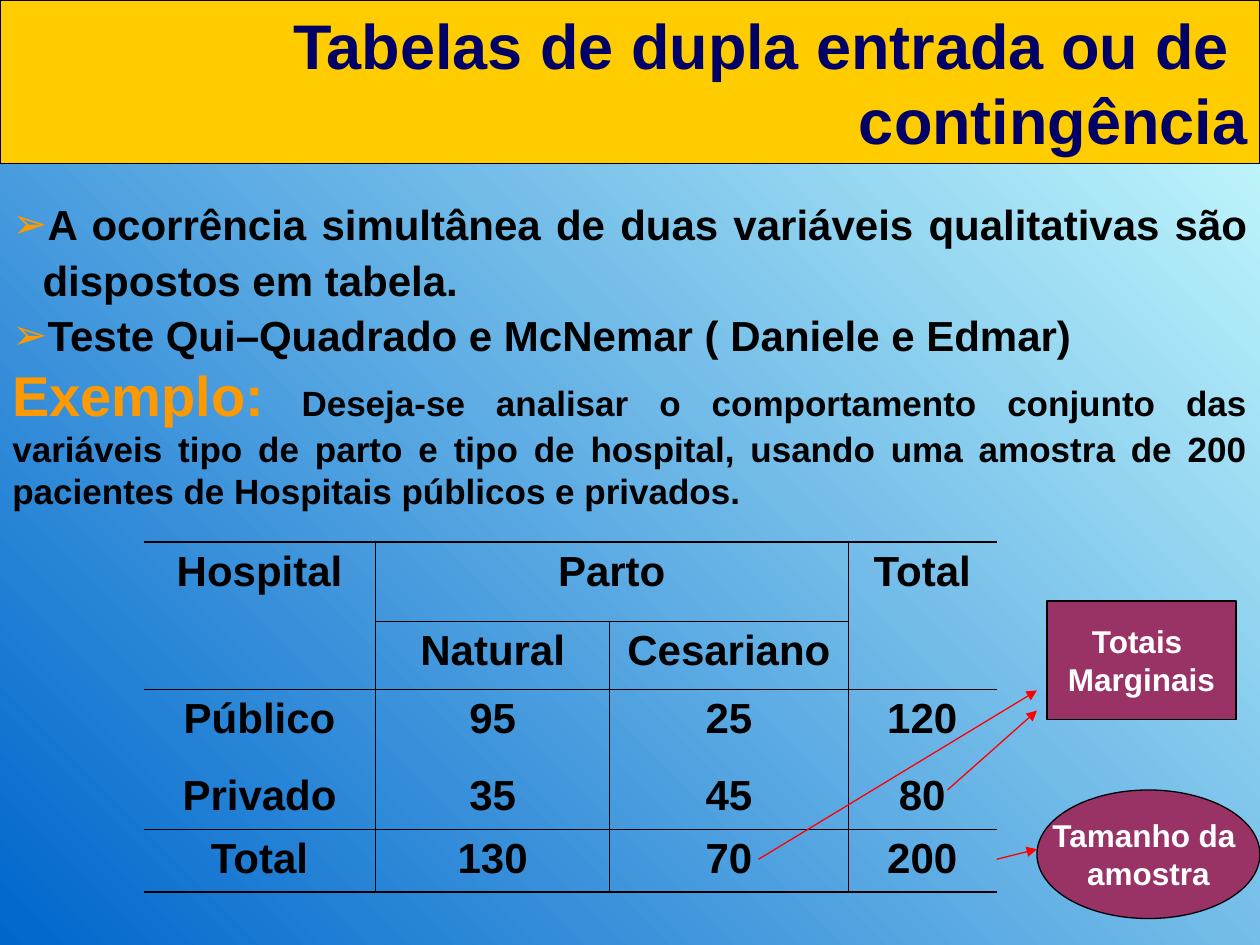
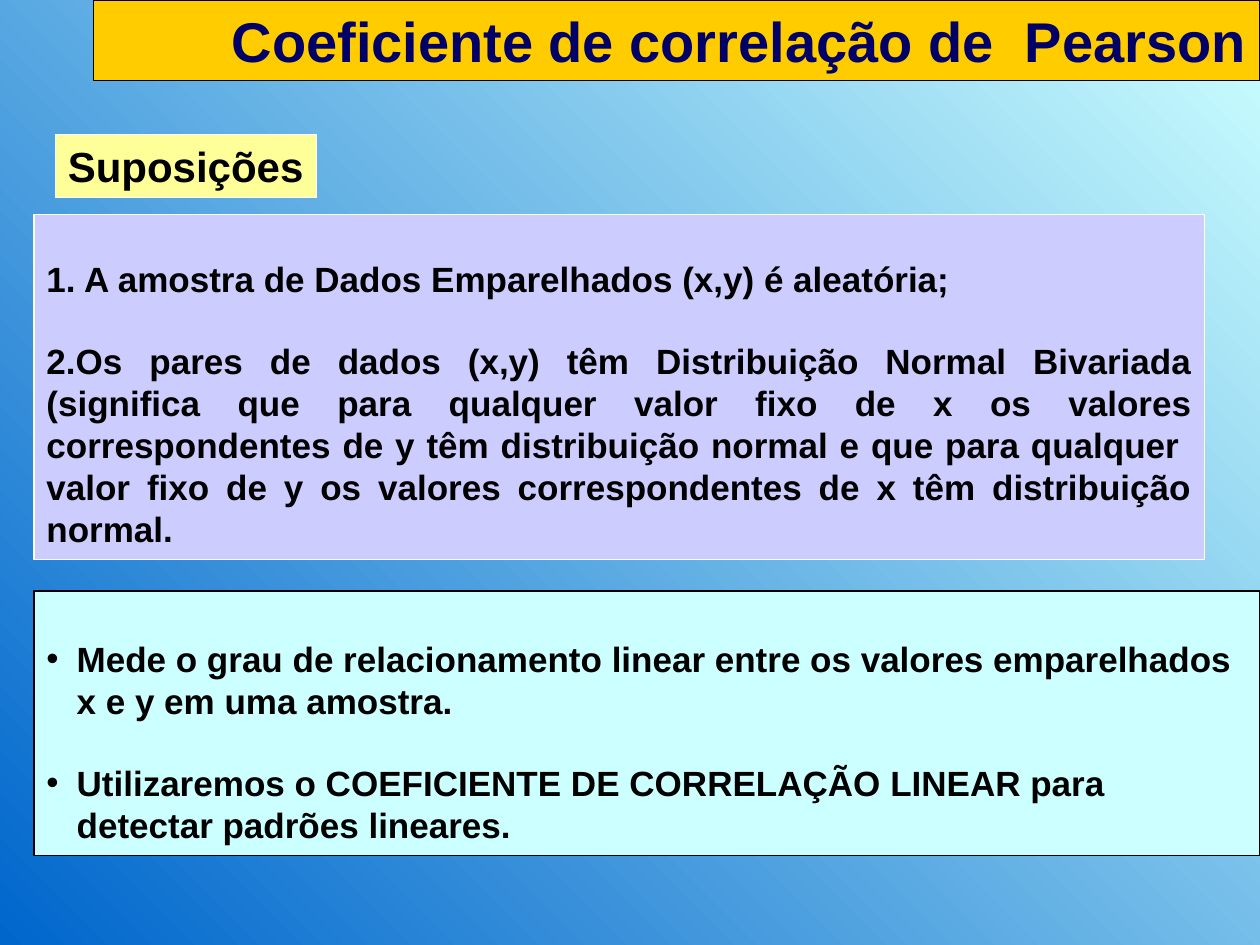
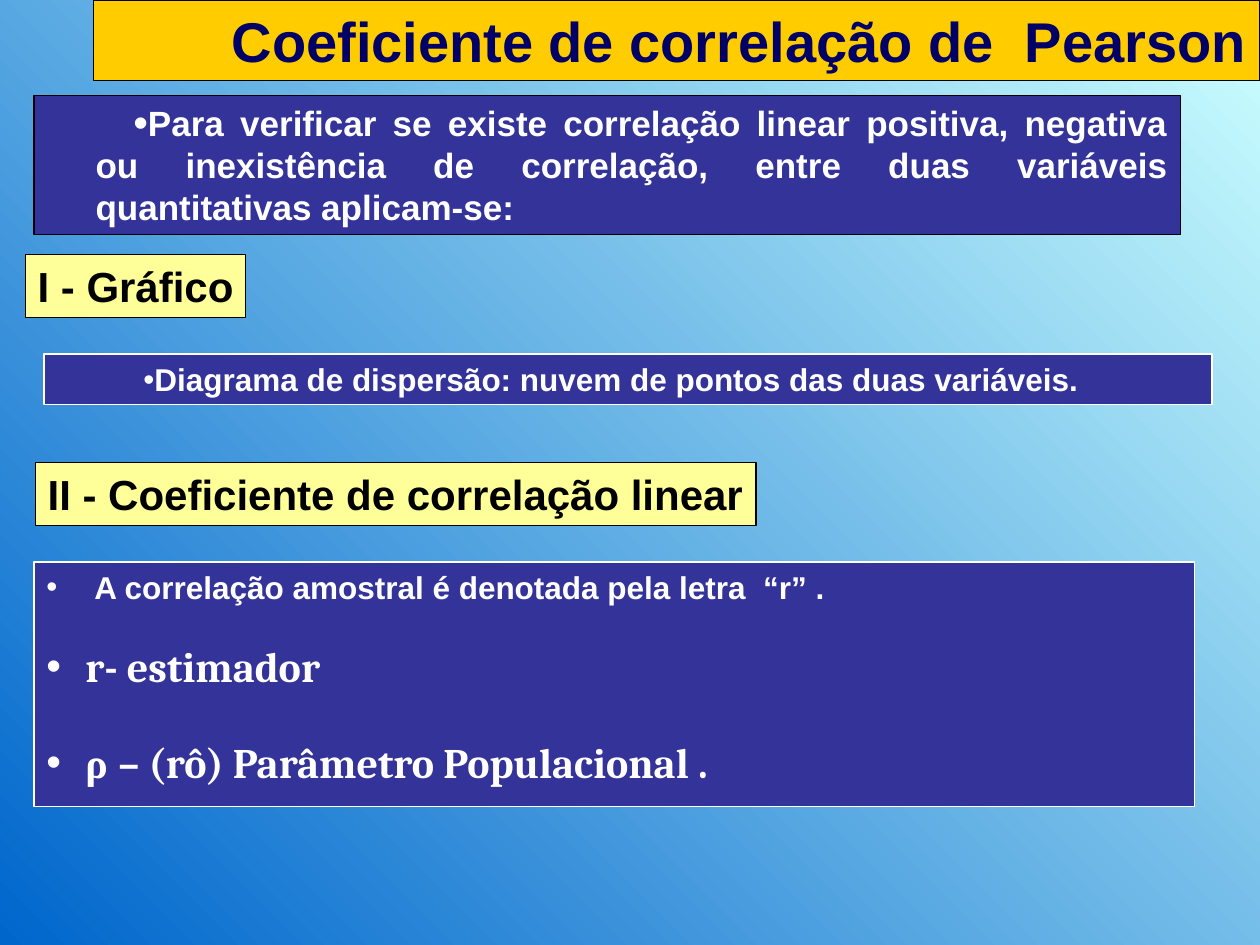
from dataclasses import dataclass

from lxml.etree import SubElement
from pptx import Presentation
from pptx.dml.color import RGBColor
from pptx.enum.shapes import MSO_CONNECTOR, MSO_SHAPE
from pptx.enum.text import MSO_ANCHOR, PP_ALIGN
from pptx.oxml.ns import qn
from pptx.util import Inches, Pt


@dataclass(frozen=True)
class Theme:
    """Colours, fonts, type sizes and line widths of the deck."""
    black: str = "000000"
    white: str = "FFFFFF"
    navy: str = "000066"
    gold: str = "FFCC00"
    orange: str = "FF9900"
    plum: str = "993366"
    red: str = "FF0000"
    indigo: str = "333399"
    lavender: str = "CCCCFF"
    cyan: str = "CCFFFF"
    yellow: str = "FFFF99"
    blue: str = "0066CC"
    sans: str = "Arial"
    serif: str = "Cambria"
    greek: str = "Times New Roman"
    banner: int = 36
    title: int = 32
    heading: int = 24
    body: int = 20
    small: int = 18
    outline: float = 0.75
    thin: float = 0.45
    thick: float = 1.08


THEME = Theme()
COLUMNS, ROWS = 100, 75
WIDTH, HEIGHT = Inches(10), Inches(7.5)


@dataclass(frozen=True)
class Box:
    """A rectangle measured in columns and rows of the slide grid."""
    left: float
    top: float
    width: float
    height: float

    def region(self, left, top, width, height):
        """Return a box placed from this box's top left corner."""
        return Box(self.left + left, self.top + top, width, height)

    def point(self, column, row):
        """Return the slide position of a point inside this box."""
        return (round(WIDTH * (self.left + column) / COLUMNS),
                round(HEIGHT * (self.top + row) / ROWS))

    def frame(self):
        """Return left, top, width and height as slide lengths."""
        return (*self.point(0, 0), round(WIDTH * self.width / COLUMNS),
                round(HEIGHT * self.height / ROWS))


@dataclass(frozen=True)
class Run:
    """A piece of bold text in one style."""
    text: str
    size: int = THEME.body
    color: str = THEME.black
    font: str = THEME.sans


@dataclass(frozen=True)
class Line:
    """A paragraph: its runs, alignment, indents, bullet and spacing."""
    runs: tuple
    align: PP_ALIGN = PP_ALIGN.LEFT
    margin: float = 0
    indent: float = 0
    bullet: str = ""
    bullet_color: str = THEME.black
    bullet_size: int = 100
    before: float = 0
    spacing: float = 1.0


def rgb(color):
    """Turn a hexadecimal string into a colour."""
    return RGBColor.from_string(color)


def write_line(paragraph, line):
    """Write one line into a paragraph."""
    properties = paragraph._p.get_or_add_pPr()
    properties.set("marL", str(Inches(line.margin)))
    properties.set("indent", str(Inches(line.indent)))
    if line.bullet:
        color = SubElement(properties, qn("a:buClr"))
        SubElement(color, qn("a:srgbClr"), val=line.bullet_color)
        SubElement(properties, qn("a:buSzPct"), val=str(line.bullet_size * 1000))
        SubElement(properties, qn("a:buFont"), typeface=THEME.sans)
        SubElement(properties, qn("a:buChar"), char=line.bullet)
    paragraph.alignment = line.align
    paragraph.line_spacing = line.spacing
    if line.before:
        paragraph.space_before = Pt(line.before)
    for piece in line.runs:
        run = paragraph.add_run()
        run.text = piece.text
        run.font.size = Pt(piece.size)
        run.font.name = piece.font
        run.font.bold = True
        run.font.color.rgb = rgb(piece.color)


def write_text(shape, lines, top_inset=0.05, wrap=True, anchor=MSO_ANCHOR.TOP):
    """Fill the text frame of a shape with lines."""
    frame = shape.text_frame
    frame.word_wrap = wrap
    frame.vertical_anchor = anchor
    frame.margin_left = frame.margin_right = Inches(0.1)
    frame.margin_top, frame.margin_bottom = Inches(top_inset), Inches(0.05)
    for index, line in enumerate(lines):
        paragraph = frame.add_paragraph() if index else frame.paragraphs[0]
        write_line(paragraph, line)


def add_panel(slide, box, lines, fill, outline=THEME.black,
              kind=MSO_SHAPE.RECTANGLE, **text_options):
    """Draw a filled and outlined shape that holds text."""
    shape = slide.shapes.add_shape(kind, *box.frame())
    shape.shadow.inherit = False
    shape.fill.solid()
    shape.fill.fore_color.rgb = rgb(fill)
    shape.line.color.rgb = rgb(outline)
    shape.line.width = Pt(THEME.outline)
    write_text(shape, lines, **text_options)


def add_title(slide, box, texts, size):
    """Draw the gold title band with right-aligned lines."""
    lines = [Line((Run(text, size, THEME.navy),), PP_ALIGN.RIGHT) for text in texts]
    add_panel(slide, box, lines, THEME.gold)


def add_tag(slide, box, text, outline=THEME.black):
    """Draw a yellow section tag."""
    add_panel(slide, box, [Line((Run(text, THEME.heading),))], THEME.yellow,
              outline, wrap=False)


def add_callout(slide, box, texts, kind):
    """Draw a plum callout with centred text."""
    lines = [Line((Run(text, THEME.small, THEME.white),), PP_ALIGN.CENTER)
             for text in texts]
    add_panel(slide, box, lines, THEME.plum, kind=kind, wrap=False,
              anchor=MSO_ANCHOR.MIDDLE)


def add_arrow(slide, start, end):
    """Draw a thin red arrow."""
    arrow = slide.shapes.add_connector(MSO_CONNECTOR.STRAIGHT, *start, *end)
    arrow.line.color.rgb = rgb(THEME.red)
    arrow.line.width = Pt(THEME.outline)
    SubElement(arrow.line._get_or_add_ln(), qn("a:tailEnd"), type="triangle")
    SubElement(arrow._element.spPr, qn("a:effectLst"))


def add_introduction(slide, box):
    """Write the bulleted definition and the example."""
    bullet = dict(margin=0.24, indent=-0.24, bullet="➢",
                  bullet_color=THEME.orange, spacing=1.1)
    lines = [
        Line((Run("A ocorrência simultânea de duas variáveis qualitativas são "
                  "dispostos em tabela.", THEME.heading),),
             PP_ALIGN.JUSTIFY, **bullet),
        Line((Run("Teste Qui–Quadrado e McNemar ( Daniele e Edmar)",
                  THEME.heading),), **bullet),
        Line((Run("Exemplo: ", THEME.title, THEME.orange),
              Run("Deseja-se analisar o comportamento conjunto das variáveis "
                  "tipo de parto e tipo de hospital, usando uma amostra de 200 "
                  "pacientes de Hospitais públicos e privados.")),
             PP_ALIGN.JUSTIFY),
    ]
    write_text(slide.shapes.add_textbox(*box.frame()), lines, top_inset=0.31)


def horizontal_rule(level, column):
    """Return the width of the rule above a table row, or zero."""
    if level in (0, 5):
        return THEME.thick
    return THEME.thin if level in (2, 4) or (level == 1 and column in (1, 2)) else 0


def vertical_rule(level, row):
    """Return the width of the rule left of a table column, or zero."""
    return THEME.thin if level in (1, 3) or (level == 2 and row > 0) else 0


def rule_cell(cell, row, column):
    """Set the four borders of a table cell."""
    widths = {
        "a:lnL": vertical_rule(column, row),
        "a:lnR": vertical_rule(column + cell.span_width, row),
        "a:lnT": horizontal_rule(row, column),
        "a:lnB": horizontal_rule(row + cell.span_height, column),
    }
    properties = cell._tc.get_or_add_tcPr()
    for tag, width in widths.items():
        border = SubElement(properties, qn(tag), w=str(Pt(width)))
        if width:
            fill = SubElement(border, qn("a:solidFill"))
            SubElement(fill, qn("a:srgbClr"), val=THEME.black)
        else:
            SubElement(border, qn("a:noFill"))


def add_contingency_table(slide, box):
    """Draw the hospital by delivery table."""
    rows = [
        ("Hospital", "Parto", "", "Total"),
        ("", "Natural", "Cesariano", ""),
        ("Público", "95", "25", "120"),
        ("Privado", "35", "45", "80"),
        ("Total", "130", "70", "200"),
    ]
    table = slide.shapes.add_table(len(rows), len(rows[0]), *box.frame()).table
    table.first_row = table.horz_banding = False
    for column, width in zip(table.columns, (1.84, 1.86, 1.89, 1.18)):
        column.width = Inches(width)
    for row, height in zip(table.rows, (0.63, 0.54, 0.61, 0.5, 0.5)):
        row.height = Inches(height)
    for start, end in (((0, 0), (1, 0)), ((0, 1), (0, 2)), ((0, 3), (1, 3))):
        table.cell(*start).merge(table.cell(*end))
    for row, texts in enumerate(rows):
        for column, text in enumerate(texts):
            cell = table.cell(row, column)
            rule_cell(cell, row, column)
            cell.fill.background()
            if text:
                write_line(cell.text_frame.paragraphs[0],
                           Line((Run(text, THEME.heading),), PP_ALIGN.CENTER))


def add_callouts(slide, box):
    """Draw the callouts and the arrows that lead to them from the table."""
    add_callout(slide, box.region(22.3, 15, 17.7, 10.2), ("Tamanho da ", "amostra"),
                MSO_SHAPE.OVAL)
    add_callout(slide, box.region(23.1, 0, 15, 9.4), ("Totais ", "Marginais"),
                MSO_SHAPE.RECTANGLE)
    for column, row, target in ((19.1, 20.5, 19.7), (0.2, 20.5, 7.1), (15.2, 15, 8.7)):
        add_arrow(slide, box.point(column, row), box.point(22.3, target))


def build_contingency(slide, box):
    """Build the slide on contingency tables."""
    add_introduction(slide, box.region(0, 12.3, 100, 36.3))
    add_contingency_table(slide, box.region(11.4, 43, 67.7, 27.9))
    add_callouts(slide, box.region(60, 47.7, 40, 25.2))
    add_title(slide, box.region(0, 0, 100, 13),
              ("Tabelas de dupla entrada ou de ", "contingência"), THEME.banner)


def add_pearson_title(slide, box):
    """Draw the title that the correlation slides share."""
    add_title(slide, box.region(7.4, 0, 92.6, 6.4),
              ("Coeficiente de correlação de  Pearson",), THEME.title)


def build_assumptions(slide, box):
    """Build the slide on the assumptions of the coefficient."""
    add_pearson_title(slide, box)
    assumptions = [
        Line((Run("1. A amostra de Dados Emparelhados (x,y) é aleatória;"),)),
        Line((Run("2.Os pares de dados (x,y) têm Distribuição Normal Bivariada "
                  "(significa que para qualquer valor fixo de x os valores "
                  "correspondentes de y têm distribuição normal e que para "
                  "qualquer  valor fixo de y os valores correspondentes de x "
                  "têm distribuição normal."),), PP_ALIGN.JUSTIFY, before=23),
    ]
    add_panel(slide, box.region(2.7, 17, 92.9, 27.4), assumptions, THEME.lavender,
              THEME.white, top_inset=0.34)
    add_tag(slide, box.region(4.4, 10.7, 20.7, 5), "Suposições", THEME.white)
    bullet = dict(margin=0.24, indent=-0.24, bullet="•")
    purposes = [
        Line((Run("Mede o grau de relacionamento linear entre os valores "
                  "emparelhados x e y em uma amostra."),), **bullet),
        Line((Run("Utilizaremos o COEFICIENTE DE CORRELAÇÃO LINEAR para "
                  "detectar padrões lineares."),), before=23, **bullet),
    ]
    add_panel(slide, box.region(2.7, 46.9, 97.3, 21), purposes, THEME.cyan,
              top_inset=0.37)


def build_methods(slide, box):
    """Build the slide on the chart and the linear coefficient."""
    white = dict(bullet="•", bullet_color=THEME.white)
    inset = dict(align=PP_ALIGN.JUSTIFY, margin=0.39, indent=0.3, **white)
    purpose = Line((Run("Para verificar se existe correlação linear positiva, "
                        "negativa ou inexistência de correlação, entre duas "
                        "variáveis quantitativas aplicam-se:", THEME.body,
                        THEME.white),), bullet_size=120, **inset)
    add_panel(slide, box.region(2.7, 7.6, 91, 11), [purpose], THEME.indigo)
    add_pearson_title(slide, box)
    add_tag(slide, box.region(2, 20.2, 17.5, 5), "I - Gráfico")
    diagram = Line((Run("Diagrama de dispersão: nuvem de pontos das duas "
                        "variáveis.", THEME.small, THEME.white),), **inset)
    add_panel(slide, box.region(3.5, 28.1, 92.7, 4), [diagram], THEME.indigo,
              THEME.white)
    symbol = dict(align=PP_ALIGN.JUSTIFY, margin=0.31, indent=-0.31, **white)
    large = (THEME.heading, THEME.white)
    notation = [
        Line((Run("A correlação amostral é denotada pela letra  “r” .",
                  THEME.small, THEME.white),), margin=0.38, indent=-0.38, **white),
        Line((Run("r- estimador", *large, THEME.serif),), before=20, **symbol),
        Line((Run("ρ ", *large, THEME.greek),
              Run("– (rô) Parâmetro Populacional .", *large, THEME.serif)),
             before=26, **symbol),
    ]
    add_panel(slide, box.region(2.7, 44.6, 92.1, 19.4), notation, THEME.indigo,
              THEME.white)
    add_tag(slide, box.region(2.8, 36.7, 57.2, 5),
            "II - Coeficiente de correlação linear")


def set_background(master):
    """Give every slide the diagonal blue gradient."""
    fill = master.background.fill
    fill.gradient()
    fill.gradient_angle = 45
    for stop, color in zip(fill.gradient_stops, (THEME.blue, THEME.cyan)):
        stop.color.rgb = rgb(color)


def main():
    """Build and save the presentation."""
    presentation = Presentation()
    presentation.slide_width, presentation.slide_height = WIDTH, HEIGHT
    set_background(presentation.slide_master)
    page = Box(0, 0, COLUMNS, ROWS)
    for build in (build_contingency, build_assumptions, build_methods):
        build(presentation.slides.add_slide(presentation.slide_layouts[6]), page)
    presentation.save("out.pptx")


if __name__ == "__main__":
    main()
